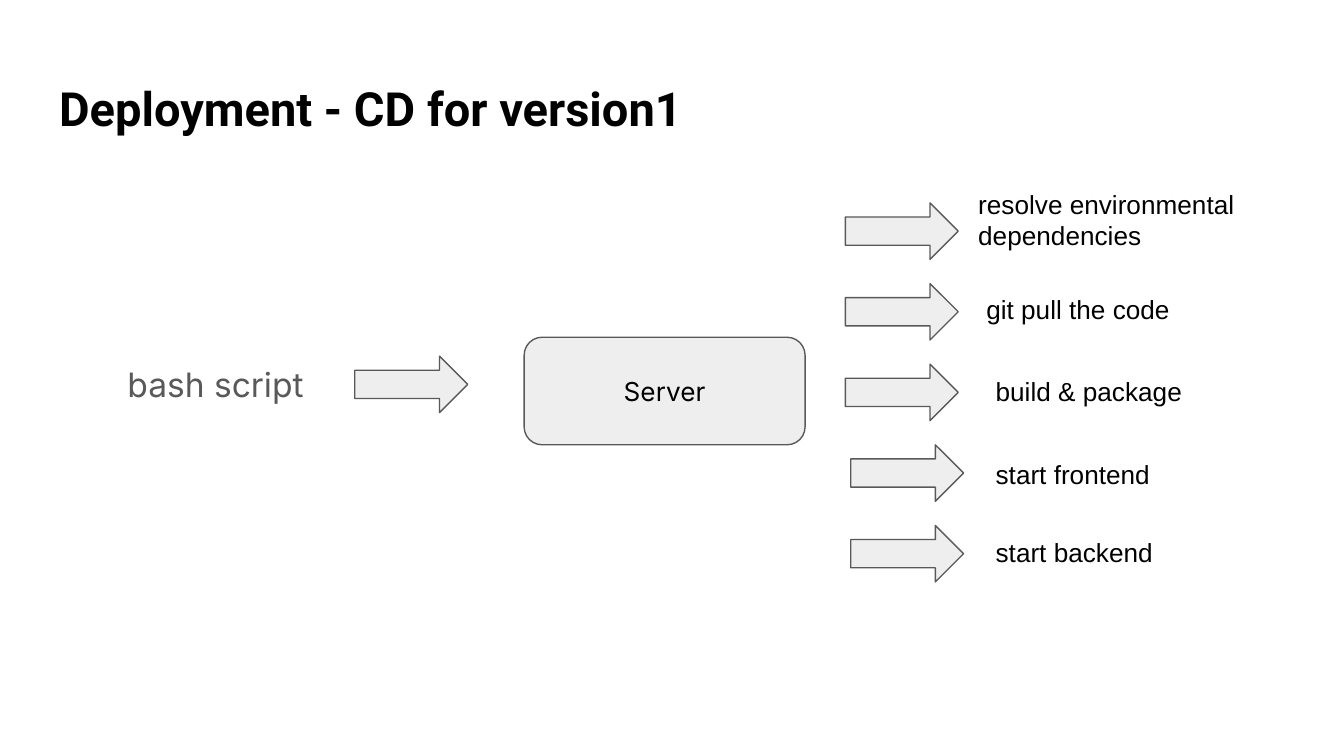
from pptx import Presentation
from pptx import util as u
from pptx.dml.color import RGBColor
from pptx.enum import shapes, text

BLACK = RGBColor(0x00, 0x00, 0x00)
GRAY = RGBColor(0x59, 0x59, 0x59)
LIGHT = RGBColor(0xEE, 0xEE, 0xEE)
WHITE = RGBColor(0xFF, 0xFF, 0xFF)

SLIDE_W = 10
SLIDE_H = SLIDE_W * 9 / 16
ARROW_W, ARROW_H = 0.84, 0.42
STEP_PITCH = 0.6  # row height of the list of steps

# Step text, indent of its arrow, left, top offset in the row, width, height
STEPS = [
    ("resolve environmental dependencies", 0, 0.89, -0.21, 3.28, 0.67),
    ("git pull the code", 0, 0.95, -0.03, 2.65, 0.44),
    ("build & package", 0, 1.02, -0.02, 3.28, 0.44),
    ("start frontend", 0.04, 1.02, 0, 3.28, 0.44),
    ("start backend", 0.04, 1.02, -0.02, 3.28, 0.44),
]


def inches(*box):
    return [u.Inches(v) for v in box]


def write(sp, words, font="Arial", size=14, color=BLACK, bold=False,
          align=text.PP_ALIGN.LEFT, anchor=text.MSO_ANCHOR.TOP):
    tf = sp.text_frame
    tf.word_wrap = True
    tf.auto_size = text.MSO_AUTO_SIZE.NONE
    tf.vertical_anchor = anchor
    tf.margin_left = tf.margin_right = u.Inches(0.1)
    tf.margin_top = tf.margin_bottom = u.Inches(0.1)
    p = tf.paragraphs[0]
    p.alignment = align
    r = p.add_run()
    r.text = words
    r.font.name, r.font.size = font, u.Pt(size)
    r.font.bold, r.font.color.rgb = bold, color


def add_label(s, box, words, **fmt):
    write(s.shapes.add_textbox(*inches(*box)), words, **fmt)


def add_block(s, kind, box):
    sp = s.shapes.add_shape(kind, *inches(*box))
    sp.shadow.inherit = False
    sp.fill.solid()
    sp.fill.fore_color.rgb = LIGHT
    sp.line.color.rgb = GRAY
    sp.line.width = u.Pt(0.75)
    return sp


def add_arrow(s, left, top):
    add_block(s, shapes.MSO_SHAPE.RIGHT_ARROW, (left, top, ARROW_W, ARROW_H))


def add_title(s, box):
    sp = s.shapes.title
    sp.left, sp.top, sp.width, sp.height = inches(*box)
    write(sp, "Deployment - CD for version1", font="Roboto", size=25.2, bold=True)


def add_source(s, left, top, width, height):
    """Script label with the arrow that leads to the server."""
    add_label(s, (left, top, width, height), "bash script",
              font="Inter", size=18, color=GRAY)
    add_arrow(s, left + 1.79, top + (height - ARROW_H) / 2)


def add_server(s, box):
    sp = add_block(s, shapes.MSO_SHAPE.ROUNDED_RECTANGLE, box)
    write(sp, "Server", font="Inter", align=text.PP_ALIGN.CENTER,
          anchor=text.MSO_ANCHOR.MIDDLE)


def add_steps(s, left, top, pitch):
    """One row per step: an arrow and its label."""
    for i, (words, indent, dx, dy, width, height) in enumerate(STEPS):
        y = top + i * pitch
        add_arrow(s, left + indent, y)
        add_label(s, (left + dx, y + dy, width, height), words)


def main():
    prs = Presentation()
    prs.slide_width, prs.slide_height = inches(SLIDE_W, SLIDE_H)
    s = prs.slides.add_slide(prs.slide_layouts[5])
    s.background.fill.solid()
    s.background.fill.fore_color.rgb = WHITE

    margin = 0.034 * SLIDE_W
    add_title(s, (margin, 0.49, SLIDE_W - 2 * margin, 0.63))
    add_source(s, 0.85, 2.61, 5.03, 0.5)
    add_server(s, (3.9, 2.51, 2.09, 0.8))
    add_steps(s, 6.29, 1.51, STEP_PITCH)
    prs.save("out.pptx")


if __name__ == "__main__":
    main()
